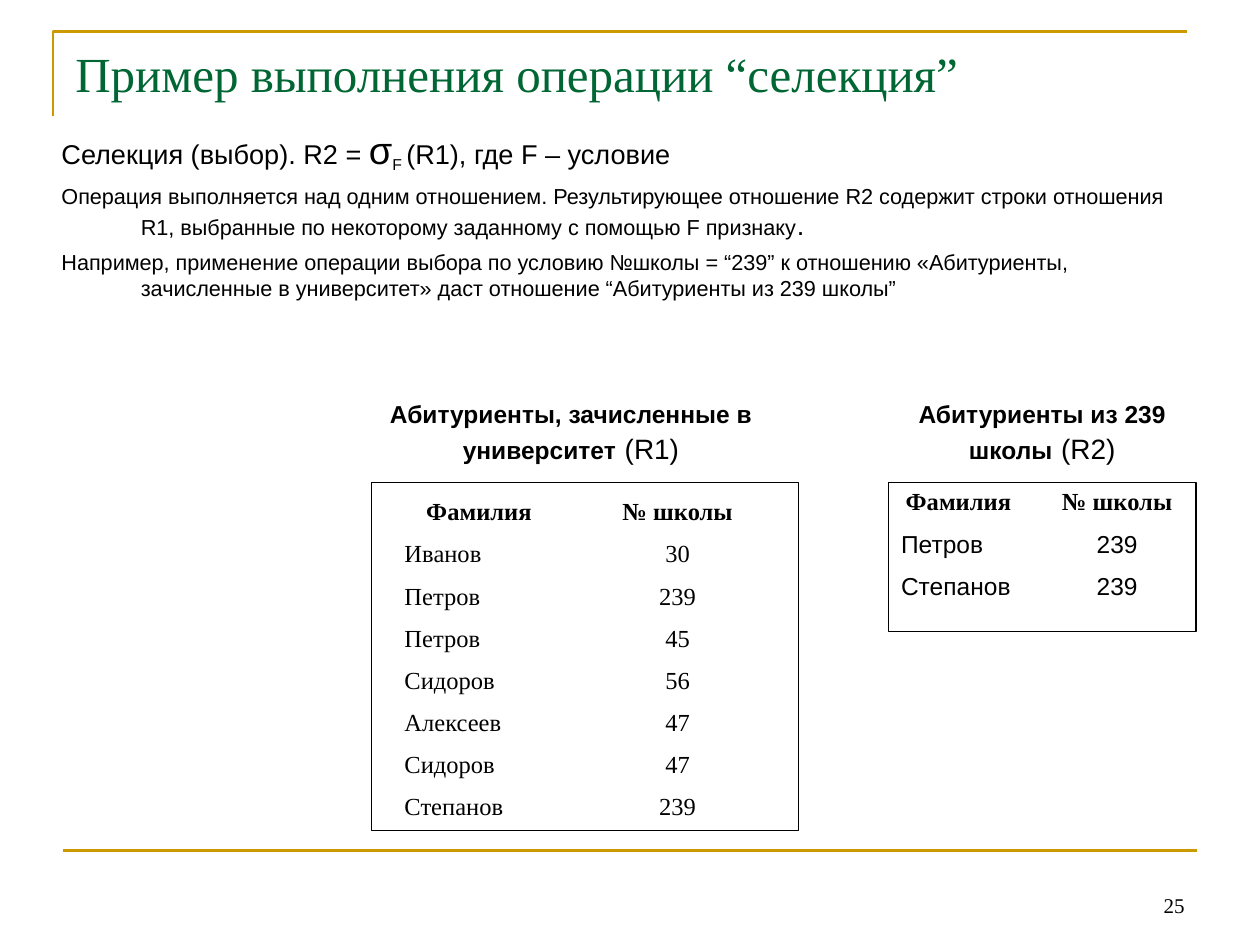
import dataclasses

import lxml.etree
import pptx
import pptx.dml.color
import pptx.enum.shapes
import pptx.enum.text
import pptx.oxml.ns
import pptx.util

Cm = pptx.util.Cm
Pt = pptx.util.Pt
ALIGN = pptx.enum.text.PP_ALIGN
ANCHOR = pptx.enum.text.MSO_ANCHOR


@dataclasses.dataclass(frozen=True)
class Theme:
    gold = pptx.dml.color.RGBColor.from_string("CC9900")
    green = pptx.dml.color.RGBColor.from_string("006633")
    black = pptx.dml.color.RGBColor.from_string("000000")
    serif = "Times New Roman"
    sans = "Arial"
    title = 28
    sigma = 21.7
    lead = 15.5
    body = 12.4
    caption = 14
    caption_gap = 18
    relation = 16
    table = 14
    number = 12


theme = Theme()


def add_run(paragraph, text, size, face, bold=False, color=theme.black):
    run = paragraph.add_run()
    run.text = text
    run.font.size = Pt(size)
    run.font.name = face
    run.font.bold = bold
    run.font.color.rgb = color
    return run


def add_text_box(left, top, width, height, anchor=ANCHOR.TOP):
    shape = slide.shapes.add_textbox(Cm(left), Cm(top), Cm(width), Cm(height))
    shape.text_frame.word_wrap = True
    shape.text_frame.vertical_anchor = anchor
    return shape.text_frame


presentation = pptx.Presentation()
presentation.slide_width = Cm(25.4)
presentation.slide_height = Cm(19.05)
slide = presentation.slides.add_slide(presentation.slide_layouts[6])

builder = slide.shapes.build_freeform(Cm(1.07), Cm(2.34))
builder.add_line_segments([(Cm(1.07), Cm(0.64)), (Cm(23.93), Cm(0.64))], close=False)
corner = builder.convert_to_shape()
corner.shadow.inherit = False
corner.fill.background()

footer_line = slide.shapes.add_connector(
    pptx.enum.shapes.MSO_CONNECTOR.STRAIGHT, Cm(1.27), Cm(17.15), Cm(24.13), Cm(17.15)
)
lxml.etree.SubElement(footer_line._element.spPr, pptx.oxml.ns.qn("a:effectLst"))
for shape in (corner, footer_line):
    shape.line.color.rgb = theme.gold
    shape.line.width = Pt(1.5)

title = add_text_box(1.27, 0.76, 22.86, 3.18).paragraphs[0]
add_run(title, "Пример выполнения операции “селекция”", theme.title, theme.serif, color=theme.green)

body_paragraphs = [
    (0, [
        ("Селекция (выбор). R2 = ", theme.lead, 0),
        ("σ", theme.sigma, 0),
        ("F ", theme.lead, -25000),
        ("(R1), где F – условие", theme.lead, 0),
    ]),
    (5, [
        ("Операция выполняется над одним отношением. Результирующее отношение R2 содержит "
         "строки отношения R1, выбранные по некоторому заданному с помощью F признаку",
         theme.body, 0),
        (".", theme.lead, 0),
    ]),
    (4, [
        ("Например, применение операции выбора по условию №школы = “239” к отношению "
         "«Абитуриенты, зачисленные в университет» даст отношение “Абитуриенты из 239 школы”",
         theme.body, 0),
    ]),
]
body = add_text_box(0.99, 2.42, 23.01, 5.21)
for index, (space, runs) in enumerate(body_paragraphs):
    paragraph = body.add_paragraph() if index else body.paragraphs[0]
    properties = paragraph._p.get_or_add_pPr()
    properties.set("marL", str(Cm(1.6)))
    properties.set("indent", str(-Cm(1.6)))
    paragraph.space_before = Pt(space)
    for text, size, baseline in runs:
        run = add_run(paragraph, text, size, theme.sans)
        if baseline:
            run._r.get_or_add_rPr().set("baseline", str(baseline))

header = ("Фамилия", "№ школы")
relations = [
    {
        "caption": "Абитуриенты из 239 школы", "name": "(R2)", "face": theme.sans,
        "caption_box": (17.91, 7.92, 6.2, 1.63),
        "frame": (17.91, 9.73, 6.2, 3),
        "origin": (17.91, 9.73), "columns": (2.82, 3.58), "rows": (0.84, 0.84, 1.45),
        "data": [("Петров", "239"), ("Степанов", "239")],
    },
    {
        "caption": "Абитуриенты, зачисленные в университет", "name": "(R1)", "face": theme.serif,
        "caption_box": (6.71, 7.92, 9.6, 1.63),
        "frame": (7.49, 9.73, 8.61, 7.01),
        "origin": (7.9, 9.93), "columns": (3.51, 4.5), "rows": (0.85,) * 8,
        "data": [
            ("Иванов", "30"), ("Петров", "239"), ("Петров", "45"), ("Сидоров", "56"),
            ("Алексеев", "47"), ("Сидоров", "47"), ("Степанов", "239"),
        ],
    },
]
for relation in relations:
    caption = add_text_box(*relation["caption_box"]).paragraphs[0]
    caption.alignment = ALIGN.CENTER
    add_run(caption, relation["caption"], theme.caption, theme.sans, bold=True)
    add_run(caption, " ", theme.caption_gap, theme.sans)
    add_run(caption, relation["name"], theme.relation, theme.sans)

    records = [header] + relation["data"]
    columns, rows = relation["columns"], relation["rows"]
    left, top = relation["origin"]
    table = slide.shapes.add_table(
        len(rows), len(columns), Cm(left), Cm(top), Cm(sum(columns)), Cm(sum(rows))
    ).table
    table.first_row = False
    table.horz_banding = False
    for column, width in zip(table.columns, columns):
        column.width = Cm(width)
    for row_index, (row, height) in enumerate(zip(table.rows, rows)):
        row.height = Cm(height)
        is_header = row_index == 0
        for column_index, text in enumerate(records[row_index]):
            cell = table.cell(row_index, column_index)
            cell.fill.background()
            paragraph = cell.text_frame.paragraphs[0]
            paragraph.alignment = ALIGN.CENTER if is_header or column_index else ALIGN.LEFT
            face = theme.serif if is_header else relation["face"]
            add_run(paragraph, text, theme.table, face, bold=is_header)

    frame = slide.shapes.add_shape(
        pptx.enum.shapes.MSO_SHAPE.RECTANGLE, *(Cm(length) for length in relation["frame"])
    )
    frame.shadow.inherit = False
    frame.fill.background()
    frame.line.color.rgb = theme.black
    frame.line.width = Pt(0.75)

number = add_text_box(18.21, 17.35, 5.92, 1.27, ANCHOR.BOTTOM).paragraphs[0]
number.alignment = ALIGN.RIGHT
add_run(number, "25", theme.number, theme.serif)

presentation.save("out.pptx")
